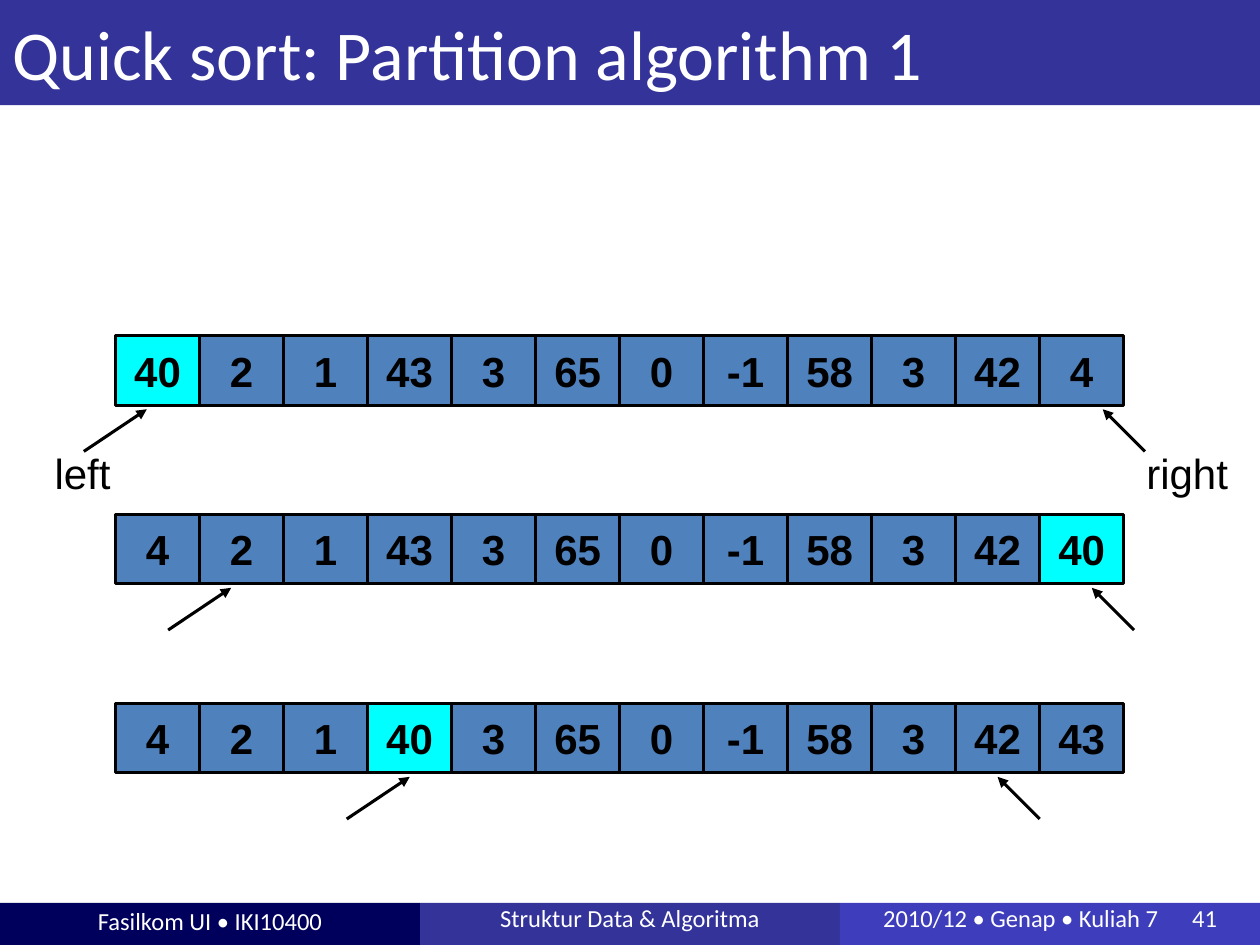
from dataclasses import dataclass

from lxml import etree
from pptx import Presentation
from pptx.dml.color import RGBColor
from pptx.enum.shapes import MSO_CONNECTOR, MSO_SHAPE
from pptx.enum.text import MSO_ANCHOR, MSO_AUTO_SIZE, PP_ALIGN
from pptx.oxml.ns import qn
from pptx.util import Cm, Pt

RECT = MSO_SHAPE.RECTANGLE
LINE = MSO_CONNECTOR.STRAIGHT
MID, TOP = MSO_ANCHOR.MIDDLE, MSO_ANCHOR.TOP
LEFT, CENTER = PP_ALIGN.LEFT, PP_ALIGN.CENTER
FIXED = MSO_AUTO_SIZE.NONE


@dataclass(frozen=True)
class Theme:
    ink: str = "000000"
    paper: str = "FFFFFF"
    bar: str = "333399"
    dark: str = "00005C"
    light: str = "3E3EBC"
    cell: str = "4F81BD"
    pivot: str = "00FFFF"
    head: str = "Calibri"
    body: str = "Arial"
    title: int = 40
    text: int = 24
    foot: int = 14
    rule: float = 1.75


THEME = Theme()
HEAD = {"name": THEME.head, "size": Pt(THEME.title)}
FOOT = {"name": THEME.head, "size": Pt(THEME.foot)}
LABEL = {"name": THEME.body, "size": Pt(THEME.text)}
CELL = {**LABEL, "bold": True}

# Values, pivot index, and the x of the left and right arrow tips in cm
ROWS = [
    (6.77, [40, 2, 1, 43, 3, 65, 0, -1, 58, 3, 42, 4], 0, 2.96, 22.23),
    (10.37, [4, 2, 1, 43, 3, 65, 0, -1, 58, 3, 42, 40], 11, 4.66, 22.01),
    (14.18, [4, 2, 1, 40, 3, 65, 0, -1, 58, 3, 42, 43], 3, 8.26, 20.11),
]


def assign(item, values):
    for key, value in values.items():
        setattr(item, key, value)


def paint(fill, color):
    fill.solid()
    fill.fore_color.rgb = RGBColor.from_string(color)


def write(shape, text, font, color, align=CENTER, **frame):
    """Put one formatted paragraph in the shape and return it."""
    box = shape.text_frame
    assign(box, {"auto_size": FIXED, "vertical_anchor": MID, **frame})
    para = box.paragraphs[0]
    para.alignment = align
    run = para.add_run()
    run.text = text
    assign(run.font, font)
    run.font.color.rgb = RGBColor.from_string(color)
    return para


def place(shape, box):
    names = ("left", "top", "width", "height")
    assign(shape, dict(zip(names, map(Cm, box))))


def block(slide, box, color):
    shape = slide.shapes.add_shape(RECT, *map(Cm, box))
    shape.shadow.inherit = False
    paint(shape.fill, color)
    shape.line.fill.background()
    return shape


def arrow(slide, start, end):
    link = slide.shapes.add_connector(LINE, *map(Cm, start + end))
    link.line.width = Pt(THEME.rule)
    paint(link.line.fill, THEME.ink)
    etree.SubElement(link.line._get_or_add_ln(), qn("a:tailEnd"), type="triangle")
    etree.SubElement(link._element.spPr, qn("a:effectLst"))


def label(slide, box, text):
    shape = slide.shapes.add_textbox(*map(Cm, box))
    write(shape, text, LABEL, THEME.ink, LEFT, vertical_anchor=TOP, word_wrap=False)


def header(slide, box, text):
    title = slide.shapes.title
    place(title, box)
    paint(title.fill, THEME.bar)
    write(title, text, HEAD, THEME.paper, LEFT)


def footer(slide, box):
    left, top, width, height = box
    part = width / 3
    pad = {"margin_top": 0, "margin_bottom": Cm(0.13)}
    items = [
        ("Fasilkom UI • IKI10400", THEME.dark, CENTER, 0.25, 1.0),
        ("Struktur Data & Algoritma", THEME.bar, CENTER, 0.25, 0.81),
        ("2010/12 • Genap • Kuliah 7\t41", THEME.light, LEFT, 0.87, 0.81),
    ]
    for i, (text, color, align, inset, space) in enumerate(items):
        shape = block(slide, (left + i * part, top, part, height), color)
        para = write(shape, text, FOOT, THEME.paper, align,
                     margin_left=Cm(inset), **pad)
        para.line_spacing = space
    # The page number stands at a tab stop of the last part
    tabs = etree.SubElement(para._p.get_or_add_pPr(), qn("a:tabLst"))
    etree.SubElement(tabs, qn("a:tab"), pos=str(Cm(6.23)), algn="l")


def array(slide, box, values, pivot):
    left, top, width, height = box
    step = width / len(values)
    for i, value in enumerate(values):
        color = THEME.pivot if i == pivot else THEME.cell
        shape = block(slide, (left + i * step, top, step, height), color)
        paint(shape.line.fill, THEME.ink)
        shape.line.width = Pt(THEME.rule)
        write(shape, str(value), CELL, THEME.ink, word_wrap=False)


def stage(slide, box, values, pivot, low, high):
    """Draw an array with its left and right pointers below it."""
    array(slide, box, values, pivot)
    tip = box[1] + box[3] + 0.08
    for x, shift in ((low, -1.27), (high, 0.85)):
        arrow(slide, (x + shift, tip + 0.85), (x, tip))


def main():
    deck = Presentation()
    assign(deck, {"slide_width": Cm(25.4), "slide_height": Cm(19.05)})
    slide = deck.slides.add_slide(deck.slide_layouts[5])
    footer(slide, (0, 18.2, 25.4, 0.85))
    header(slide, (0, 0, 25.4, 2.12), "Quick sort: Partition algorithm 1")
    for top, *state in ROWS:
        stage(slide, (2.33, top, 20.32, 1.4), *state)
    label(slide, (0.85, 8.89, 1.63, 1.27), "left")
    label(slide, (22.86, 8.89, 2.16, 1.27), "right")
    deck.save("out.pptx")


if __name__ == "__main__":
    main()
